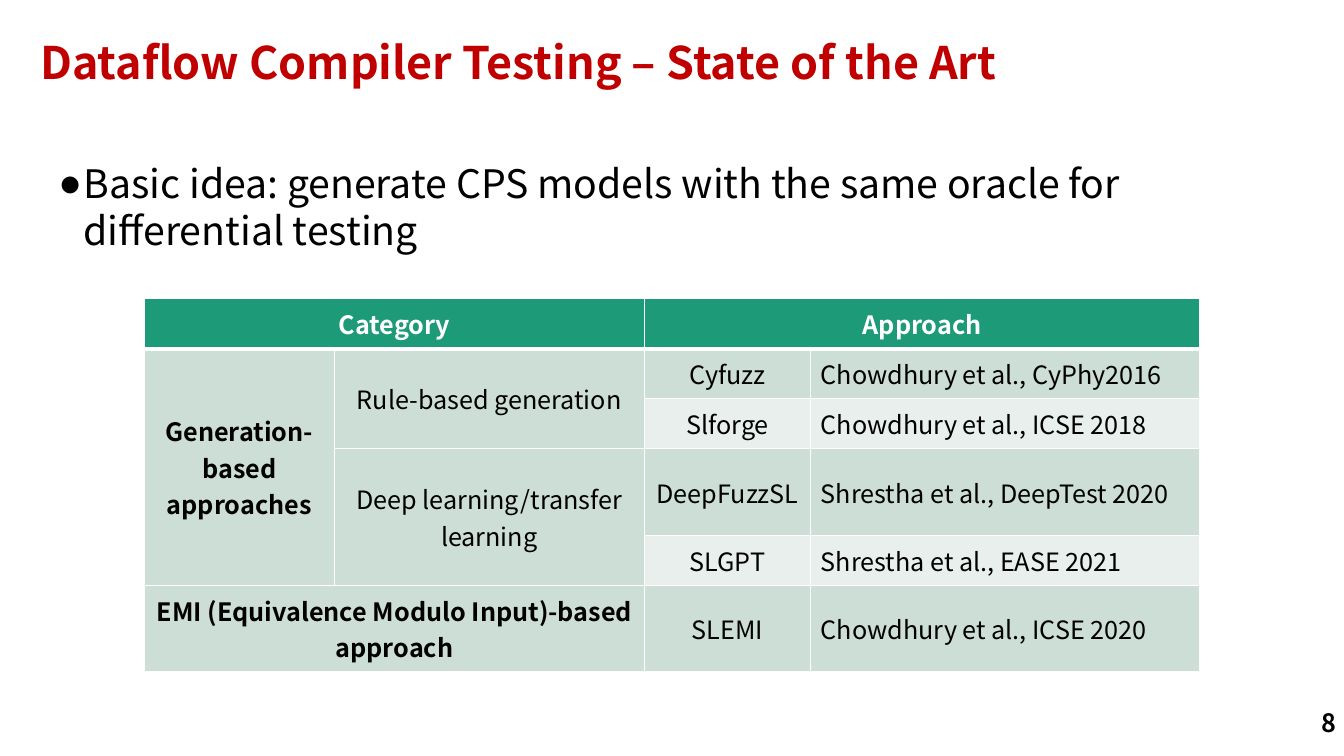
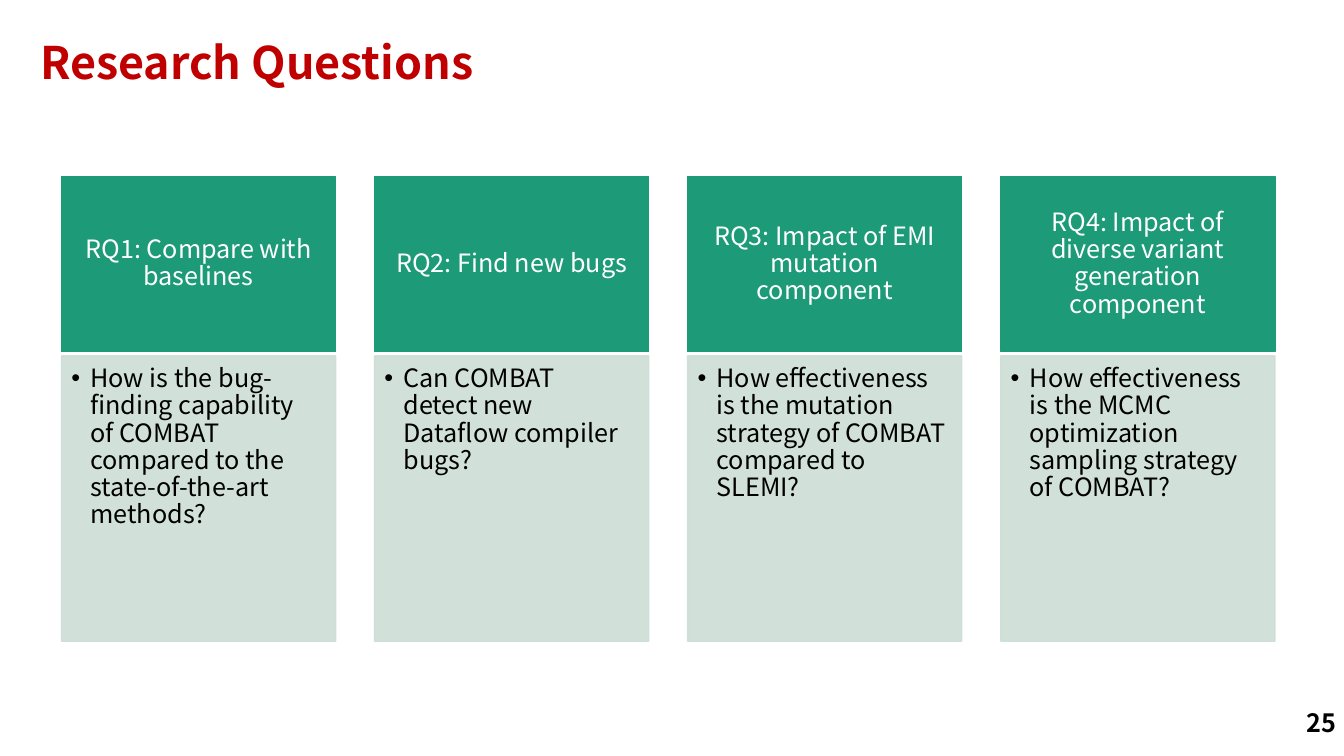
import dataclasses

import lxml.etree
import pptx
import pptx.dml.color
import pptx.enum.shapes
import pptx.enum.text
import pptx.oxml.ns
import pptx.util

Cm = pptx.util.Cm
Pt = pptx.util.Pt
RGB = pptx.dml.color.RGBColor.from_string
qn = pptx.oxml.ns.qn
ALIGN = pptx.enum.text.PP_ALIGN
ANCHOR = pptx.enum.text.MSO_ANCHOR


@dataclasses.dataclass(frozen=True)
class Theme:
    font: str = "Noto Sans CJK SC"
    bullet_font: str = "Arial"
    red: str = "C00000"
    green: str = "1D9A78"
    mint: str = "CDDED6"
    pale: str = "E8EFEC"
    white: str = "FFFFFF"
    black: str = "000000"
    title_size: int = 32
    lead_size: int = 28
    text_size: int = 18


theme = Theme()


def write(frame, text, size=theme.text_size, color=theme.black, bold=False,
          align=ALIGN.LEFT, spacing=None, bullet=None, hang=0,
          anchor=ANCHOR.TOP, insets=None):
    """Fill a text frame with one styled paragraph; insets are l, t, r, b in cm."""
    frame.word_wrap = True
    frame.vertical_anchor = anchor
    if insets:
        (frame.margin_left, frame.margin_top,
         frame.margin_right, frame.margin_bottom) = map(Cm, insets)
    para = frame.paragraphs[0]
    if bullet:
        properties = para._p.get_or_add_pPr()
        properties.set("marL", str(Cm(hang)))
        properties.set("indent", str(-Cm(hang)))
        lxml.etree.SubElement(properties, qn("a:buFont"), typeface=theme.bullet_font)
        lxml.etree.SubElement(properties, qn("a:buChar"), char=bullet)
    para.alignment = align
    if spacing:
        para.line_spacing = spacing
    span = para.add_run()
    span.text = text
    span.font.name = theme.font
    span.font.size = Pt(size)
    span.font.bold = bold
    span.font.color.rgb = RGB(color)


def add_border(cell, side, width):
    line = lxml.etree.SubElement(
        cell._tc.get_or_add_tcPr(), qn("a:ln" + side), w=str(Pt(width)))
    fill = lxml.etree.SubElement(line, qn("a:solidFill"))
    lxml.etree.SubElement(fill, qn("a:srgbClr"), val=theme.white)


deck = pptx.Presentation()
deck.slide_width, deck.slide_height = Cm(33.87), Cm(19.05)

# Shared title and page number
pages = []
for title, number in [("Dataflow Compiler Testing – State of the Art", "8"),
                      ("Research Questions", "25")]:
    page = deck.slides.add_slide(deck.slide_layouts[6])
    box = page.shapes.add_textbox(Cm(0.76), Cm(0.05), Cm(33.1), Cm(3.18))
    write(box.text_frame, title, theme.title_size, theme.red, True,
          spacing=0.9, anchor=ANCHOR.MIDDLE)
    box = page.shapes.add_textbox(Cm(28), Cm(17.7), Cm(5.87), Cm(1.02))
    write(box.text_frame, number, bold=True, align=ALIGN.RIGHT,
          insets=(0.25, 0.13, 0.19, 0.13))
    pages.append(page)
art_page, question_page = pages

# State of the art: lead sentence and table
box = art_page.shapes.add_textbox(Cm(1.14), Cm(3.68), Cm(31.8), Cm(3))
write(box.text_frame,
      "Basic idea: generate CPS models with the same oracle for differential testing",
      theme.lead_size, bullet="●", hang=0.64, insets=(0.33, 0.33, 0.33, 0.33))

column_widths = [4.78, 7.82, 4.19, 9.81]
row_heights = [1.26, 1.26, 1.26, 2.18, 1.26, 2.18]
approaches = [
    ["Category", None, "Approach", None],
    ["Generation-based approaches", "Rule-based generation",
     "Cyfuzz", "Chowdhury et al., CyPhy2016"],
    [None, None, "Slforge", "Chowdhury et al., ICSE 2018"],
    [None, "Deep learning/transfer learning",
     "DeepFuzzSL", "Shrestha et al., DeepTest 2020"],
    [None, None, "SLGPT", "Shrestha et al., EASE 2021"],
    ["EMI (Equivalence Modulo Input)-based approach", None,
     "SLEMI", "Chowdhury et al., ICSE 2020"],
]
merges = [((0, 0), (0, 1)), ((0, 2), (0, 3)), ((1, 0), (4, 0)),
          ((1, 1), (2, 1)), ((3, 1), (4, 1)), ((5, 0), (5, 1))]

table = art_page.shapes.add_table(
    len(row_heights), len(column_widths), Cm(3.64), Cm(7.53),
    Cm(sum(column_widths)), Cm(sum(row_heights))).table
for column, width in zip(table.columns, column_widths):
    column.width = Cm(width)
for row, height in zip(table.rows, row_heights):
    row.height = Cm(height)
for first, last in merges:
    table.cell(*first).merge(table.cell(*last))

for r, texts in enumerate(approaches):
    header = r == 0
    for c, text in enumerate(texts):
        cell = table.cell(r, c)
        for side, width in [("L", 1), ("R", 1), ("T", 3 if r == 1 else 1),
                            ("B", 3 if header else 1)]:
            add_border(cell, side, width)
        shade = theme.pale if c >= 2 and r % 2 == 0 else theme.mint
        cell.fill.solid()
        cell.fill.fore_color.rgb = RGB(theme.green if header else shade)
        cell.vertical_anchor = ANCHOR.MIDDLE
        if text:
            write(cell.text_frame, text,
                  color=theme.white if header else theme.black,
                  bold=header or c == 0,
                  align=ALIGN.LEFT if c == 3 else ALIGN.CENTER,
                  anchor=ANCHOR.MIDDLE)

# Research questions: four cards, each a heading over a body
questions = [
    ("RQ1: Compare with baselines",
     "How is the bug-finding capability of COMBAT compared to the "
     "state-of-the-art methods?"),
    ("RQ2: Find new bugs",
     "Can COMBAT detect new Dataflow compiler bugs?"),
    ("RQ3: Impact of EMI mutation component",
     "How effectiveness is the mutation strategy of COMBAT compared to SLEMI?"),
    ("RQ4: Impact of diverse variant generation component",
     "How effectiveness is the MCMC optimization sampling strategy of COMBAT?"),
]
heading_style = dict(color=theme.white, align=ALIGN.CENTER,
                     anchor=ANCHOR.MIDDLE, insets=(0.36, 0.2, 0.36, 0.2))
body_style = dict(bullet="•", hang=0.48, insets=(0.25, 0.25, 0.36, 0.41))
card_left, card_pitch, card_width = 1.55, 7.89, 6.91

for i, (heading, question) in enumerate(questions):
    for text, top, height, color, opacity, style in [
            (heading, 4.45, 4.41, theme.green, 100, heading_style),
            (question, 8.97, 7.19, theme.mint, 90, body_style)]:
        panel = question_page.shapes.add_shape(
            pptx.enum.shapes.MSO_SHAPE.RECTANGLE,
            Cm(card_left + i * card_pitch), Cm(top), Cm(card_width), Cm(height))
        panel.shadow.inherit = False
        panel.line.width = Pt(1)
        for paint in (panel.fill, panel.line.fill):
            paint.solid()
            paint.fore_color.rgb = RGB(color)
        if opacity < 100:
            for tint in panel._element.spPr.iter(qn("a:srgbClr")):
                lxml.etree.SubElement(tint, qn("a:alpha"), val=str(opacity * 1000))
        write(panel.text_frame, text, spacing=0.9, **style)

deck.save("out.pptx")
